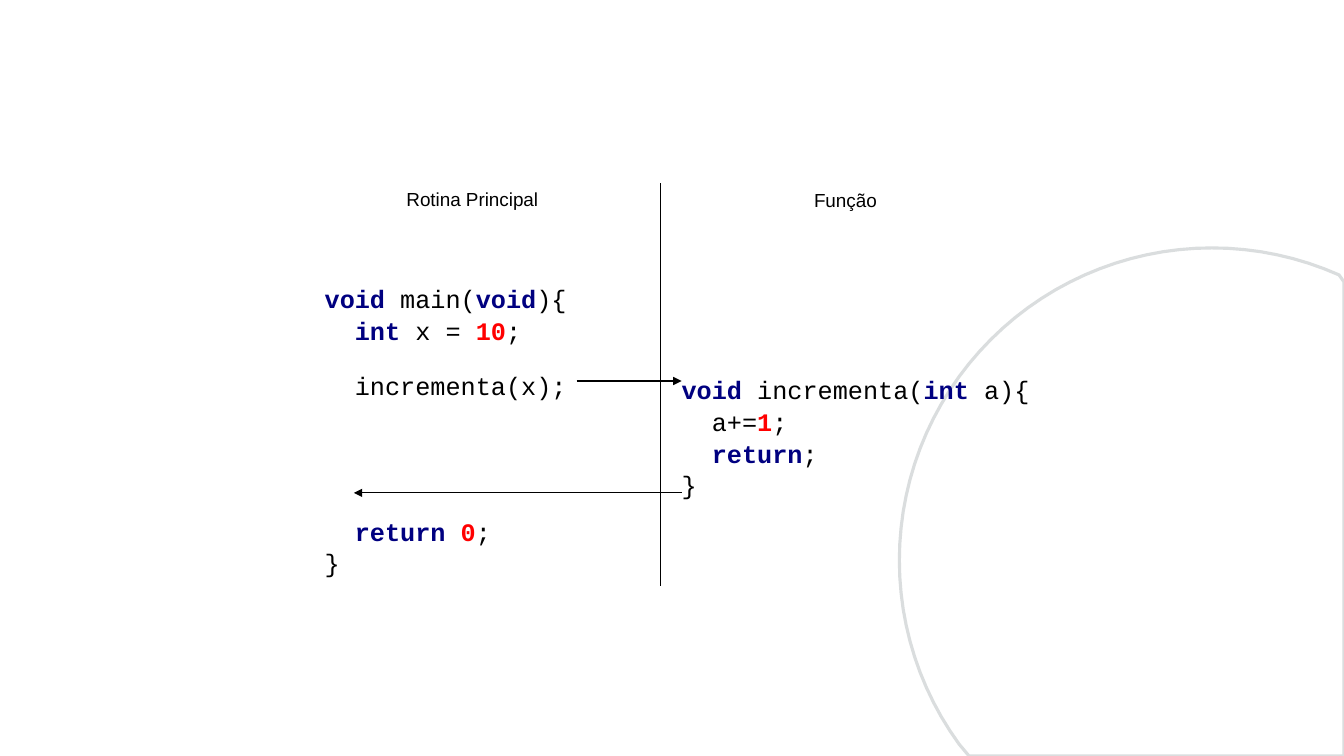
from dataclasses import dataclass
from math import cos, radians, sin

from lxml import etree
from pptx import Presentation
from pptx import util as u
from pptx.dml.color import RGBColor
from pptx.enum import shapes, text
from pptx.oxml import ns

BLACK = RGBColor(0x00, 0x00, 0x00)
WHITE = RGBColor(0xFF, 0xFF, 0xFF)
NAVY = RGBColor(0x00, 0x00, 0x80)
RED = RGBColor(0xFF, 0x00, 0x00)
PALE_GREY = RGBColor(0xDA, 0xDD, 0xDE)

SLIDE_WIDTH, SLIDE_HEIGHT = 13.33, 7.5
GAP = 16.3  # points left by one empty line of the code


@dataclass(frozen=True)
class Token:
    text: str
    color: RGBColor = BLACK
    bold: bool = False


@dataclass(frozen=True)
class Line:
    tokens: tuple[Token, ...]
    gaps_before: int = 0


@dataclass(frozen=True)
class TextBlock:
    left: float
    top: float
    width: float
    height: float
    lines: tuple[Line, ...]


@dataclass(frozen=True)
class Stroke:
    start: tuple[float, float]
    end: tuple[float, float]
    arrow: bool = False


def keyword(word: str) -> Token:
    return Token(word, NAVY, True)


def number(digits: str) -> Token:
    return Token(digits, RED, True)


def line(*tokens: Token | str, gaps_before: int = 0) -> Line:
    """Make a line in which bare strings are plain black text."""
    return Line(tuple(Token(t) if isinstance(t, str) else t for t in tokens), gaps_before)


LABELS = (
    TextBlock(3.65, 1.82, 2.07, 0.28, (line("Rotina Principal"),)),
    TextBlock(7.35, 1.83, 2.07, 0.28, (line("Função"),)),
)

CODE_BLOCKS = (
    TextBlock(3.22, 2.8, 3.37, 3.58, (
        line(keyword("void "), "main(", keyword("void"), "){"),
        line("  ", keyword("int "), "x = ", number("10"), ";"),
        line("  incrementa(x);", gaps_before=1),
        line("  ", keyword("return "), number("0"), ";", gaps_before=5),
        line("}"),
    )),
    TextBlock(6.76, 3.7, 3.52, 2.68, (
        line(keyword("void "), "incrementa(", keyword("int "), "a){"),
        line("  a+=", number("1"), ";"),
        line("  ", keyword("return"), ";"),
        line("}"),
    )),
)

STROKES = (
    Stroke((5.72, 3.78), (6.76, 3.78), arrow=True),
    Stroke((6.76, 4.89), (3.51, 4.89), arrow=True),
    Stroke((6.55, 1.82), (6.55, 5.81)),
)


def add_text(slide, block: TextBlock, *, font: str, size: float,
             align=text.PP_ALIGN.LEFT, line_spacing: float = 1.0,
             margins: tuple[float, float] = (0, 0)) -> None:
    box = slide.shapes.add_textbox(u.Inches(block.left), u.Inches(block.top),
                                   u.Inches(block.width), u.Inches(block.height))
    frame = box.text_frame
    frame.word_wrap = True
    frame.margin_left = frame.margin_right = u.Inches(margins[0])
    frame.margin_top = frame.margin_bottom = u.Inches(margins[1])
    for index, row in enumerate(block.lines):
        paragraph = frame.add_paragraph() if index else frame.paragraphs[0]
        paragraph.alignment = align
        paragraph.line_spacing = line_spacing
        if row.gaps_before:
            paragraph.space_before = u.Pt(GAP * row.gaps_before)
        for token in row.tokens:
            run = paragraph.add_run()
            run.text = token.text
            run.font.name = font
            run.font.size = u.Pt(size)
            run.font.bold = token.bold
            run.font.color.rgb = token.color


def add_stroke(slide, stroke: Stroke) -> None:
    connector = slide.shapes.add_connector(
        shapes.MSO_CONNECTOR.STRAIGHT,
        *(u.Inches(value) for value in stroke.start + stroke.end))
    connector.line.color.rgb = BLACK
    connector.line.width = u.Pt(0.75)
    if stroke.arrow:
        outline = connector.line._get_or_add_ln()
        etree.SubElement(outline, ns.qn("a:tailEnd"), type="triangle")
    etree.SubElement(connector._element.spPr, ns.qn("a:effectLst"))


def add_corner_disc(slide, center: tuple[float, float], radius: float) -> None:
    """Draw a plain disc cut off at the right and bottom slide edges."""
    points = [(u.Inches(min(center[0] + radius * cos(radians(angle)), SLIDE_WIDTH)),
               u.Inches(min(center[1] + radius * sin(radians(angle)), SLIDE_HEIGHT)))
              for angle in range(0, 360, 3)]
    # The clipped arc needs the slide corner itself.
    points.insert(15, (u.Inches(SLIDE_WIDTH), u.Inches(SLIDE_HEIGHT)))
    builder = slide.shapes.build_freeform(*points[0])
    builder.add_line_segments(points[1:], close=True)
    disc = builder.convert_to_shape()
    disc.shadow.inherit = False
    disc.fill.solid()
    disc.fill.fore_color.rgb = WHITE
    disc.line.color.rgb = PALE_GREY
    disc.line.width = u.Pt(2.25)


def main() -> None:
    presentation = Presentation()
    presentation.slide_width = u.Inches(SLIDE_WIDTH)
    presentation.slide_height = u.Inches(SLIDE_HEIGHT)
    slide = presentation.slides.add_slide(presentation.slide_layouts[6])

    add_corner_disc(slide, center=(12.02, 5.56), radius=3.1)
    for block in CODE_BLOCKS:
        add_text(slide, block, font="Courier New", size=18, line_spacing=1.05)
    for stroke in STROKES:
        add_stroke(slide, stroke)
    for label in LABELS:
        add_text(slide, label, font="Arial", size=13.5,
                 align=text.PP_ALIGN.CENTER, margins=(0.07, 0.04))
    presentation.save("out.pptx")


if __name__ == "__main__":
    main()
